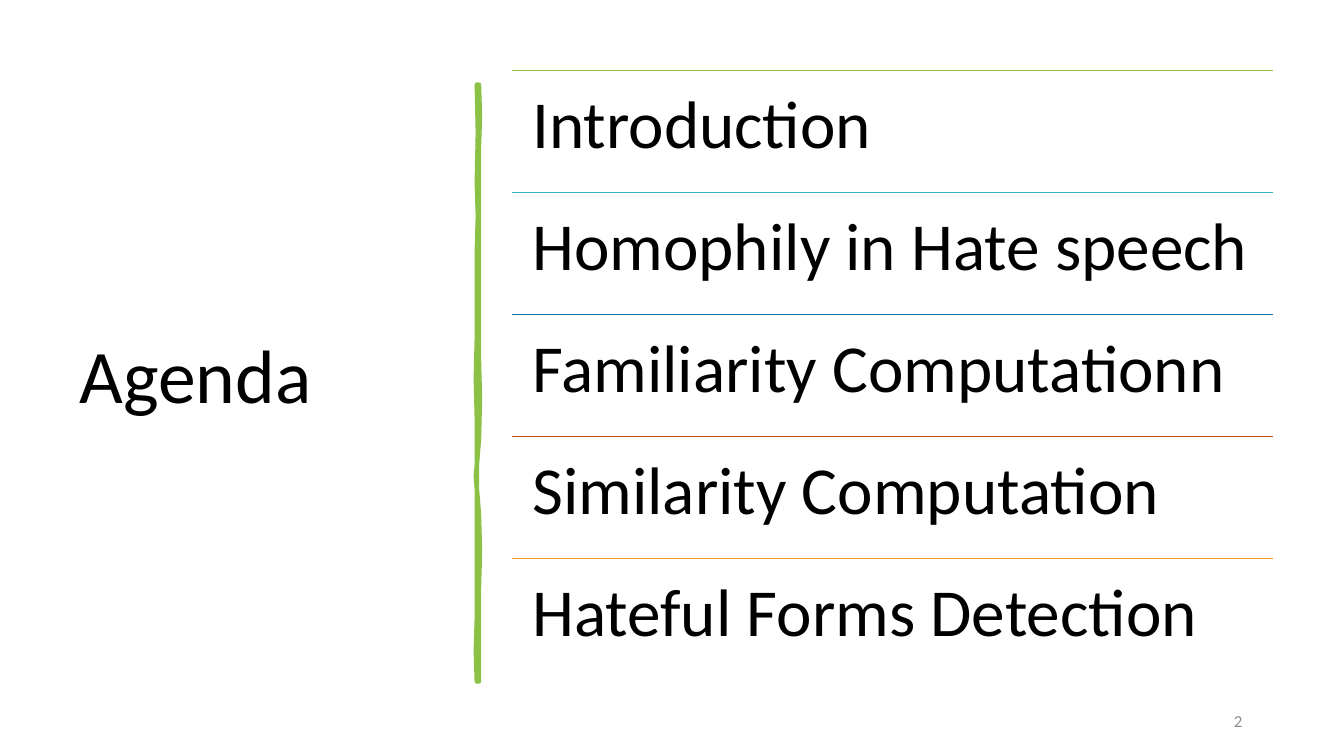
"""Build the agenda slide: a title, a wavy green bar and five ruled topics."""
from dataclasses import dataclass

from lxml.etree import SubElement
from pptx import Presentation
from pptx.dml.color import RGBColor as Rgb
from pptx.enum.shapes import MSO_CONNECTOR as Link
from pptx.enum.text import MSO_ANCHOR as Anchor, PP_ALIGN as Align
from pptx.oxml.ns import qn
from pptx.shapes.shapetree import SlideShapes as Shapes
from pptx.util import Emu, Pt

PX = 9144
FONT = "Calibri"
COLORS = {
    "black": "000000",
    "gray": "8C8C8C",
    "green": "8BC145",
    "cyan": "36AFCE",
    "blue": "1D6FA9",
    "rust": "B74919",
    "amber": "F19D19",
}
LEFT, TOP, WIDTH, STEP = 508, 70, 755, 121
RIGHT_EDGE = [
    (475, 84), (476, 115), (475, 146), (475, 356), (476, 396), (475, 436),
    (472, 473), (475, 510), (476, 547), (475, 584), (475, 676),
]
LEFT_EDGE = [
    (473, 676), (472, 645), (473, 613), (473, 415), (472, 375), (473, 335),
    (473, 250), (474, 215), (473, 181), (474, 132), (473, 84),
]


@dataclass
class Label:
    text: str
    x: int
    y: int
    w: int
    h: int
    size: int
    color: str = "black"
    pad: int = 10
    edge: int = 5
    anchor: Anchor = Anchor.MIDDLE
    align: Align = Align.LEFT
    space: float = 0.9


@dataclass
class Topic:
    text: str
    color: str


TOPICS = [
    Topic("Introduction", "green"),
    Topic("Homophily in Hate speech", "cyan"),
    Topic("Familiarity Computationn", "blue"),
    Topic("Similarity Computation", "rust"),
    Topic("Hateful Forms Detection", "amber"),
]


def px(size: int) -> Emu:
    """Turn px into EMU."""
    return Emu(size * PX)


def rgb(name: str) -> Rgb:
    """Look up a colour by name."""
    return Rgb.from_string(COLORS[name])


def add_label(shapes: Shapes, item: Label) -> None:
    """Draw one line of text in its box."""
    box = shapes.add_textbox(px(item.x), px(item.y), px(item.w), px(item.h))
    frame = box.text_frame
    frame.word_wrap = True
    frame.vertical_anchor = item.anchor
    frame.margin_left = frame.margin_right = px(item.pad)
    frame.margin_top = frame.margin_bottom = px(item.edge)
    para = frame.paragraphs[0]
    para.text = item.text
    para.alignment = item.align
    para.line_spacing = item.space
    para.font.name = FONT
    para.font.size = Pt(item.size)
    para.font.color.rgb = rgb(item.color)


def add_rule(shapes: Shapes, y: int, color: str) -> None:
    """Draw the thin line above a topic."""
    rule = shapes.add_connector(
        Link.STRAIGHT, px(LEFT), px(y), px(LEFT + WIDTH), px(y)
    )
    rule.line.color.rgb = rgb(color)
    rule.line.width = Pt(1)
    SubElement(rule._element.spPr, qn("a:effectLst"))


def add_bar(shapes: Shapes) -> None:
    """Draw the wavy bar with rounded corners."""
    first, *rest = RIGHT_EDGE + LEFT_EDGE
    pen = shapes.build_freeform(*first, scale=PX)
    pen.add_line_segments(rest, close=True)
    bar = pen.convert_to_shape()
    bar.shadow.inherit = False
    bar.fill.solid()
    bar.fill.fore_color.rgb = rgb("green")
    bar.line.color.rgb = rgb("green")
    bar.line.width = Pt(3.25)
    SubElement(bar.line._get_or_add_ln(), qn("a:round"))


def main() -> None:
    """Build and save the slide."""
    deck = Presentation()
    deck.slide_width, deck.slide_height = px(1333), px(750)
    shapes = deck.slides.add_slide(deck.slide_layouts[6]).shapes
    add_label(shapes, Label("Agenda", 69, 70, 374, 611, 54))
    add_bar(shapes)
    for row, topic in enumerate(TOPICS):
        y = TOP + row * STEP
        add_rule(shapes, y, topic.color)
        add_label(shapes, Label(topic.text, LEFT, y, WIDTH, STEP, 48,
                                pad=20, edge=20, anchor=Anchor.TOP))
    add_label(shapes, Label("2", 942, 695, 300, 40, 12, "gray",
                            align=Align.RIGHT, space=1.0))
    deck.save("out.pptx")


if __name__ == "__main__":
    main()
